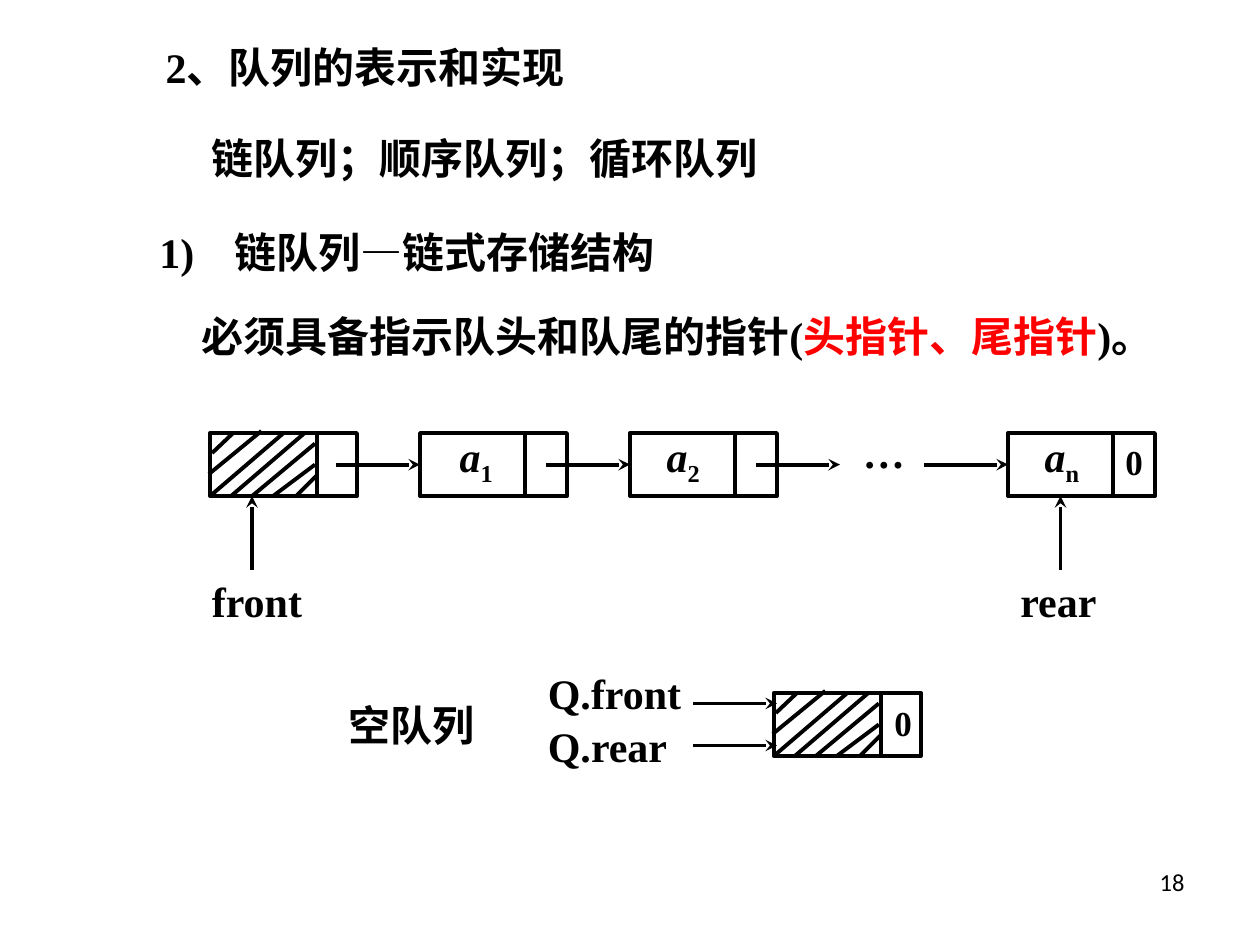
from dataclasses import dataclass
from typing import Optional

import lxml.etree
import pptx
import pptx.dml.color
import pptx.enum.shapes
import pptx.enum.text
import pptx.oxml.ns
import pptx.util

COLORS = {"ink": "000000", "accent": "FF0000"}
SERIF = "Times New Roman"
UNIT = 1 / 12  # the slide is a grid of 120 columns by 90 rows
NODE_WIDTH, NODE_HEIGHT = 14, 6
LINK_START, LINK_LENGTH = 12, 8
CHAIN_TOP = 41.25
CHAIN_MIDDLE = CHAIN_TOP + NODE_HEIGHT / 2
CHAIN_BOTTOM = CHAIN_TOP + NODE_HEIGHT
POINTER_START = CHAIN_BOTTOM + 7
# Strokes inside a header node, from its top left corner: x1, y1, x2, y2
HATCHING = [
    (2.2, 0, 0.2, 1.9),
    (4.9, -0.2, -0.1, 3.9),
    (9, 0, 2, 6),
    (10, 3, 6, 6),
    (7, 0, 0, 6),
    (10, 1, 4, 6),
    (10.2, 4, 8.2, 6),
]


@dataclass
class Span:
    text: str
    color: str = "ink"
    italic: bool = False
    subscript: bool = False


@dataclass
class Caption:
    left: float
    top: float
    width: float
    spans: list[Span]
    height: float = 6
    size: float = 24
    font: str = SERIF
    bold: bool = True
    right: bool = False
    hanging: float = 0


@dataclass
class Node:
    left: float
    top: float
    header: bool = False


@dataclass
class Arrow:
    start: tuple[float, float]
    end: tuple[float, float]
    target: Optional[int] = None  # index of the chain node it joins


def grid(cells: float) -> pptx.util.Length:
    return pptx.util.Inches(cells * UNIT)


def color(name: str) -> pptx.dml.color.RGBColor:
    return pptx.dml.color.RGBColor.from_string(COLORS[name])


def add_caption(page, caption: Caption) -> None:
    box = page.shapes.add_textbox(
        grid(caption.left), grid(caption.top), grid(caption.width), grid(caption.height)
    )
    frame = box.text_frame
    frame.word_wrap = True
    if not caption.right:
        frame.auto_size = pptx.enum.text.MSO_AUTO_SIZE.SHAPE_TO_FIT_TEXT
    paragraph = frame.paragraphs[0]
    if caption.right:
        paragraph.alignment = pptx.enum.text.PP_ALIGN.RIGHT
    if caption.hanging:
        indent = grid(caption.hanging)
        properties = paragraph._p.get_or_add_pPr()
        properties.set("marL", str(indent))
        properties.set("indent", str(-indent))
    for part in caption.spans:
        span = paragraph.add_run()
        span.text = part.text
        span.font.name = caption.font
        span.font.size = pptx.util.Pt(caption.size)
        span.font.bold = caption.bold
        span.font.italic = part.italic
        span.font.color.rgb = color(part.color)
        if part.subscript:
            span._r.get_or_add_rPr().set("baseline", "-25000")


def add_line(page, start: tuple[float, float], end: tuple[float, float]):
    line = page.shapes.add_connector(
        pptx.enum.shapes.MSO_CONNECTOR.STRAIGHT, *map(grid, start + end)
    )
    line.line.color.rgb = color("ink")
    line.line.width = pptx.util.Pt(2.25)
    lxml.etree.SubElement(line._element.spPr, pptx.oxml.ns.qn("a:effectLst"))
    return line


def add_arrow(page, arrow: Arrow, chain: list) -> None:
    line = add_line(page, arrow.start, arrow.end)
    outline = line.line._get_or_add_ln()
    lxml.etree.SubElement(outline, pptx.oxml.ns.qn("a:tailEnd"), type="stealth")
    if arrow.target is not None:
        line.end_connect(chain[arrow.target], 1)


def add_node(page, node: Node):
    """Draw a data cell with its link cell; a header's data cell is hatched."""
    box = page.shapes.add_shape(
        pptx.enum.shapes.MSO_SHAPE.RECTANGLE,
        grid(node.left), grid(node.top), grid(NODE_WIDTH), grid(NODE_HEIGHT),
    )
    box.shadow.inherit = False
    box.fill.background()
    box.line.color.rgb = color("ink")
    box.line.width = pptx.util.Pt(2.25)
    divider = node.left + (10.2 if node.header else 10)
    add_line(page, (divider, node.top), (divider, node.top + NODE_HEIGHT))
    if node.header:
        for x1, y1, x2, y2 in HATCHING:
            add_line(page, (node.left + x1, node.top + y1),
                     (node.left + x2, node.top + y2))
    return box


def element(left: float, index: str) -> Caption:
    spans = [Span("a", italic=True), Span(index, subscript=True)]
    return Caption(left, 40.4, 9, spans, height=6.7)


def link(left: float, target: Optional[int]) -> Arrow:
    return Arrow((left, CHAIN_MIDDLE), (left + LINK_LENGTH, CHAIN_MIDDLE), target)


CHAIN = [Node(20, CHAIN_TOP, header=True)] + [Node(left, CHAIN_TOP) for left in (40, 60, 96)]
EMPTY_QUEUE = Node(73.7, 66, header=True)
ARROWS = [
    link(20 + LINK_START, 1),
    link(40 + LINK_START, 2),
    link(60 + LINK_START, None),
    link(96 - LINK_LENGTH, 3),
    *[Arrow((x, POINTER_START), (x, CHAIN_BOTTOM)) for x in (24, 101)],
    *[Arrow((66, y), (74, y)) for y in (67, 71)],
]
CAPTIONS = [
    Caption(14.6, 3.4, 84, [Span("2、队列的表示和实现")]),
    Caption(19, 12, 69, [Span("链队列；顺序队列；循环队列")]),
    Caption(14, 21, 78, [Span("1)\t链队列—链式存储结构")], hanging=7.2),
    Caption(18, 29, 94, [
        Span("必须具备指示队头和队尾的指针("),
        Span("头指针、尾指针", color="accent"),
        Span(")。"),
    ]),
    element(42.6, "1"),
    element(62.3, "2"),
    element(98.3, "n"),
    Caption(81, 40, 10, [Span("…")]),
    Caption(106, 41.4, 8, [Span("0")], height=5.3, size=20),
    Caption(19, POINTER_START, 13, [Span("front")]),
    Caption(96, POINTER_START, 13, [Span("rear")]),
    Caption(51, 63, 25, [Span("Q.front")]),
    Caption(51, 68, 18, [Span("Q.rear")]),
    Caption(84, 66.2, 7, [Span("0")], height=5.3, size=20),
    Caption(32, 66, 22, [Span("空队列")]),
    Caption(86, 82, 28, [Span("18")], height=6.2, size=14, font="Calibri",
            bold=False, right=True),
]


def main() -> None:
    deck = pptx.Presentation()
    deck.slide_width = grid(120)
    deck.slide_height = grid(90)
    page = deck.slides.add_slide(deck.slide_layouts[6])
    chain = [add_node(page, node) for node in CHAIN]
    add_node(page, EMPTY_QUEUE)
    for arrow in ARROWS:
        add_arrow(page, arrow, chain)
    for caption in CAPTIONS:
        add_caption(page, caption)
    deck.save("out.pptx")


if __name__ == "__main__":
    main()
